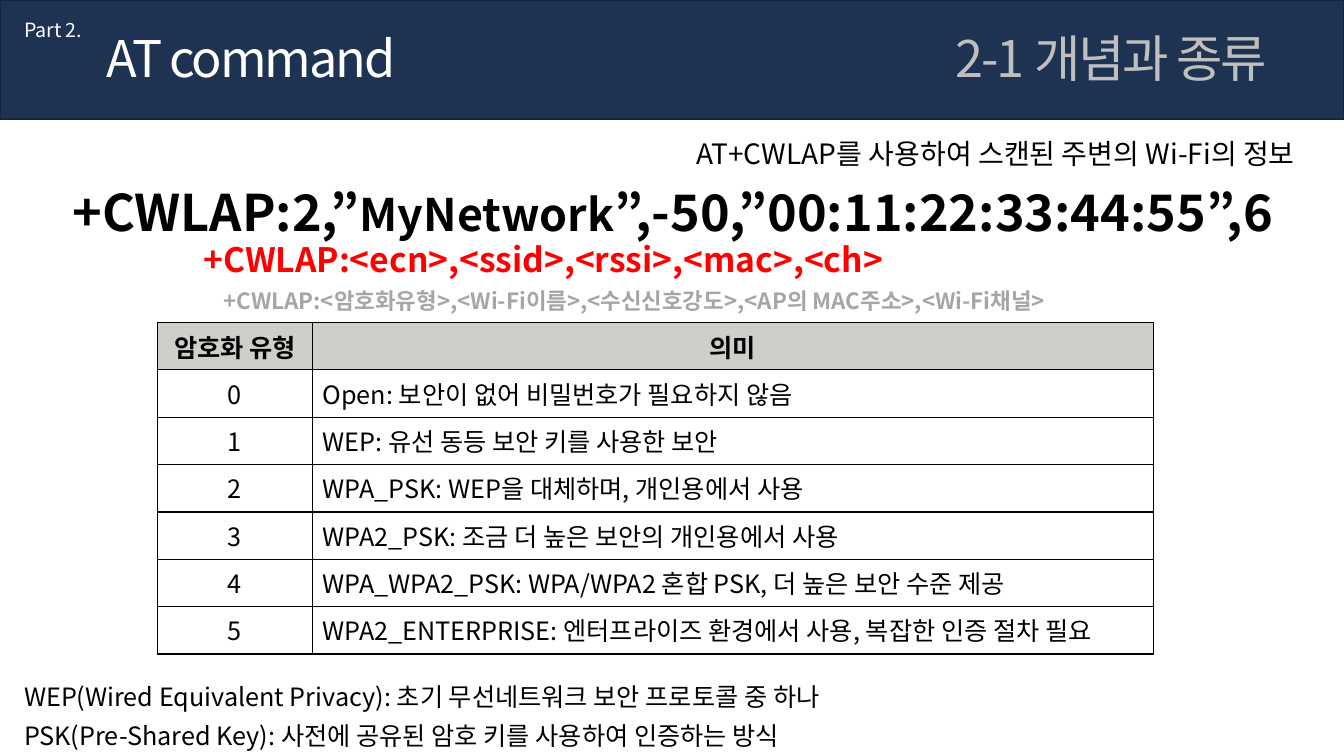
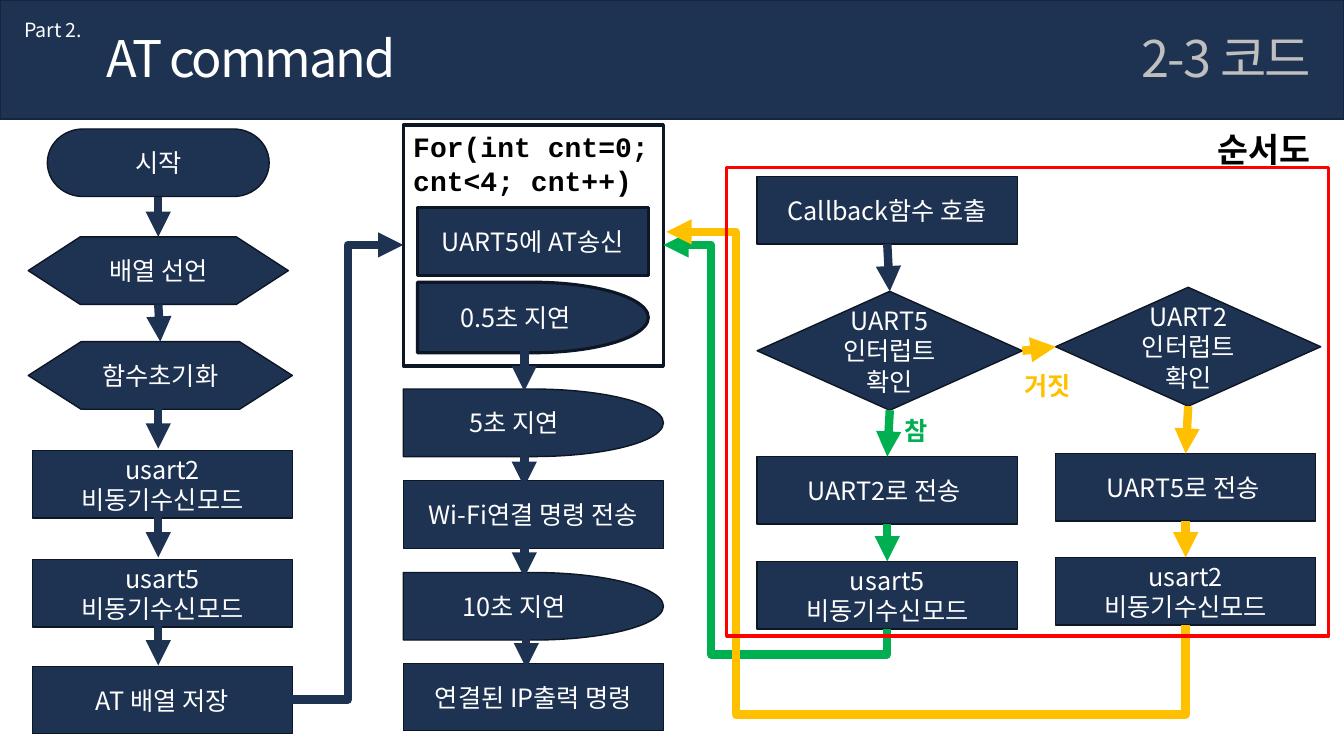
import dataclasses
import lxml.etree
import pptx
import pptx.dml.color
import pptx.enum.shapes
import pptx.enum.text
import pptx.oxml.ns
import pptx.util

SHAPES = pptx.enum.shapes.MSO_SHAPE
CONNECTORS = pptx.enum.shapes.MSO_CONNECTOR
ALIGN = pptx.enum.text.PP_ALIGN
ANCHOR = pptx.enum.text.MSO_ANCHOR
FIT = pptx.enum.text.MSO_AUTO_SIZE
IN = pptx.util.Inches
QN = pptx.oxml.ns.qn


@dataclasses.dataclass(frozen=True)
class Theme:
    width: float = 13.33
    height: float = 7.5
    band: float = 1.18
    navy: str = "1E3252"
    band_edge: str = "16253D"
    box_edge: str = "0D1624"
    white: str = "FFFFFF"
    black: str = "000000"
    silver: str = "BFBFBF"
    gray: str = "A6A6A6"
    header: str = "CECFCB"
    red: str = "FF0000"
    green: str = "00B050"
    amber: str = "FFC000"
    sans: str = "Noto Sans CJK KR"
    code: str = "Courier New"
    title: int = 36
    network: int = 32
    heading: int = 24
    lead: int = 20
    body: int = 18
    note: int = 16
    chapter: int = 14
    arrow: int = 6
    thick: float = 2.25
    thin: int = 1


T = Theme()

CHAPTER, TITLE = "Part 2.", "AT command"
SECTIONS = [
    ("2-1 개념과 종류", 9.38, ALIGN.LEFT),
    ("2-3 코드", 8.39, ALIGN.RIGHT),
]

SCAN_TEXTS = [
    ((0.62, 1.75, 12.24, 0.71),
     [("+CWLAP:2,”", T.title), ("MyNetwork", T.network),
      ("”,-50,”00:11:22:33:44:55”,6", T.title)], T.black, True, ALIGN.LEFT),
    ((1.92, 2.32, 11.4, 0.5),
     [("+CWLAP:<ecn>,<ssid>,<rssi>,<mac>,<ch>", T.heading)], T.red, True, ALIGN.LEFT),
    ((6.24, 1.31, 6.7, 0.44),
     [("AT+CWLAP를 사용하여 스캔된 주변의 Wi-Fi의 정보", T.lead)], T.black, False, ALIGN.RIGHT),
    ((2.12, 2.8, 11.2, 0.37),
     [("+CWLAP:<암호화유형>,<Wi-Fi이름>,<수신신호강도>,<AP의 MAC주소>,<Wi-Fi채널>", T.note)],
     T.gray, True, ALIGN.LEFT),
    ((0.14, 7.1, 13.19, 0.4),
     [("PSK(Pre-Shared Key): 사전에 공유된 암호 키를 사용하여 인증하는 방식", T.body)],
     T.black, False, ALIGN.LEFT),
    ((0.14, 6.71, 13.19, 0.4),
     [("WEP(Wired Equivalent Privacy): 초기 무선네트워크 보안 프로토콜 중 하나", T.body)],
     T.black, False, ALIGN.LEFT),
]

ENCRYPTION_HEAD = ("암호화 유형", "의미")
ENCRYPTION_TYPES = [
    "Open: 보안이 없어 비밀번호가 필요하지 않음",
    "WEP: 유선 동등 보안 키를 사용한 보안",
    "WPA_PSK: WEP을 대체하며, 개인용에서 사용",
    "WPA2_PSK: 조금 더 높은 보안의 개인용에서 사용",
    "WPA_WPA2_PSK: WPA/WPA2 혼합 PSK, 더 높은 보안 수준 제공",
    "WPA2_ENTERPRISE: 엔터프라이즈 환경에서 사용, 복잡한 인증 절차 필요",
]
ENCRYPTION_COLUMNS = (1.54, 8.34)
ENCRYPTION_ROW = 0.47

STEP_W, STEP_H = 2.58, 0.67
DECISION = {"width": 2.63, "height": 1.18}
INNER_W = 2.29
SETUP, LOOP, UART5, UART2 = 0.32, 4, 7.51, 10.47
RECEIVE = "비동기수신모드"

STEPS = {
    "start": (SHAPES.FLOWCHART_TERMINATOR, 0.47, 1.28, ["시작"], {"width": 2.2}),
    "arrays": (SHAPES.FLOWCHART_PREPARATION, 0.28, 2.35, ["배열 선언"], {}),
    "init": (SHAPES.FLOWCHART_PREPARATION, 0.28, 3.39, ["함수초기화"], {"width": 2.62}),
    "usart2": (SHAPES.FLOWCHART_PROCESS, SETUP, 4.47, ["usart2", RECEIVE], {}),
    "usart5": (SHAPES.FLOWCHART_PROCESS, SETUP, 5.55, ["usart5", RECEIVE], {}),
    "store": (SHAPES.FLOWCHART_PROCESS, SETUP, 6.61, ["AT 배열 저장"], {}),
    "send": (SHAPES.FLOWCHART_PROCESS, 4.14, 2.06, ["UART5에 AT송신"],
             {"width": INNER_W, "edge": T.thick}),
    "half": (SHAPES.FLOWCHART_DELAY, 4.14, 2.8, ["0.5초 지연"],
             {"width": INNER_W, "height": 0.7, "edge": T.thick}),
    "five": (SHAPES.FLOWCHART_DELAY, LOOP, 3.86, ["5초 지연"], {}),
    "join": (SHAPES.FLOWCHART_PROCESS, LOOP, 4.77, ["Wi-Fi연결 명령 전송"], {}),
    "ten": (SHAPES.FLOWCHART_DELAY, LOOP, 5.68, ["10초 지연"], {}),
    "address": (SHAPES.FLOWCHART_PROCESS, LOOP, 6.58, ["연결된 IP출력 명령"], {}),
    "callback": (SHAPES.FLOWCHART_PROCESS, UART5, 1.75, ["Callback함수 호출"], {}),
    "check5": (SHAPES.FLOWCHART_DECISION, UART5, 2.89, ["UART5", "인터럽트", "확인"], DECISION),
    "to2": (SHAPES.FLOWCHART_PROCESS, UART5, 4.53, ["UART2로 전송 "], {}),
    "receive5": (SHAPES.FLOWCHART_PROCESS, UART5, 5.57, ["usart5", RECEIVE], {}),
    "check2": (SHAPES.FLOWCHART_DECISION, UART2, 2.85, ["UART2", "인터럽트", "확인"], DECISION),
    "to5": (SHAPES.FLOWCHART_PROCESS, UART2, 4.5, ["UART5로 전송 "], {}),
    "receive2": (SHAPES.FLOWCHART_PROCESS, UART2, 5.53, ["usart2", RECEIVE], {}),
}

TOP, LEFT, BOTTOM, RIGHT = range(4)
JOINED_ARROWS = [
    ("start", BOTTOM, "arrays", TOP, T.navy),
    ("arrays", BOTTOM, "init", TOP, T.navy),
    ("callback", BOTTOM, "check5", TOP, T.navy),
    ("check5", BOTTOM, "to2", TOP, T.green),
    ("check5", RIGHT, "check2", LEFT, T.amber),
    ("to2", BOTTOM, "receive5", TOP, T.green),
    ("check2", BOTTOM, "to5", TOP, T.amber),
    ("to5", BOTTOM, "receive2", TOP, T.amber),
]
DOWN = 0.4
DOWN_ARROWS = [(1.57, 4.05), (1.57, 5.13), (1.57, 6.2),
               (5.2, 3.48), (5.2, 4.43), (5.2, 5.33), (5.22, 6.23)]
RETURNS = [
    ((8.8, 6.24), (6.58, 2.43), 7.05, 6.49, T.green),
    ((11.76, 6.2), (6.61, 2.3), 7.3, 7.09, T.amber),
]
FLOW_LABELS = [
    ("순서도", (11.98, 1.23, 1.35, 0.5), T.heading, T.black),
    ("참", (8.87, 4.07, 0.9, 0.4), T.body, T.green),
    ("거짓", (10.06, 3.62, 0.9, 0.4), T.body, T.amber),
]


def rgb(value):
    return pptx.dml.color.RGBColor.from_string(value)


def add_run(paragraph, text, color, size, bold=False, face=T.sans, tracking=None):
    run = paragraph.add_run()
    run.text = text
    formats = {"name": face, "size": pptx.util.Pt(size), "bold": bold}
    for key, value in formats.items():
        setattr(run.font, key, value)
    run.font.color.rgb = rgb(color)
    props = run._r.get_or_add_rPr()
    lxml.etree.SubElement(props, QN("a:ea"), typeface=face)
    if tracking:
        props.set("spc", str(int(tracking * 100)))


def add_label(slide, frame, runs, color, bold=False, align=ALIGN.LEFT, wrap=True, tracking=None):
    label = slide.shapes.add_textbox(*map(IN, frame)).text_frame
    label.word_wrap = wrap
    label.auto_size = FIT.SHAPE_TO_FIT_TEXT
    label.paragraphs[0].alignment = align
    for text, size in runs:
        add_run(label.paragraphs[0], text, color, size, bold, tracking=tracking)


def add_block(slide, preset, frame, fill, edge, weight):
    block = slide.shapes.add_shape(preset, *map(IN, frame))
    block.shadow.inherit = False
    if fill:
        block.fill.solid()
        block.fill.fore_color.rgb = rgb(fill)
    else:
        block.fill.background()
    block.line.color.rgb = rgb(edge)
    block.line.width = pptx.util.Pt(weight)
    return block


def add_arrow(slide, kind, begin, end, color):
    arrow = slide.shapes.add_connector(kind, *map(IN, begin + end))
    arrow.line.color.rgb = rgb(color)
    arrow.line.width = pptx.util.Pt(T.arrow)
    props = arrow._element.spPr
    lxml.etree.SubElement(props.find(QN("a:ln")), QN("a:tailEnd"), type="triangle")
    lxml.etree.SubElement(props, QN("a:effectLst"))
    return arrow


def add_return(slide, begin, end, rail_x, rail_y, color):
    across, up = begin[0] - end[0], begin[1] - end[1]
    left = (begin[0] + end[0] - up) / 2
    top = (begin[1] + end[1] - across) / 2
    arrow = add_arrow(slide, CONNECTORS.ELBOW, (left + up, top), (left, top + across), color)
    props = arrow._element.spPr
    props.find(QN("a:xfrm")).set("rot", str(90 * 60000))
    outline = props.find(QN("a:prstGeom"))
    outline.set("prst", "bentConnector4")
    guides = outline.find(QN("a:avLst"))
    if guides is None:
        guides = lxml.etree.SubElement(outline, QN("a:avLst"))
    bends = {"adj1": (begin[1] - rail_y) / up, "adj2": (begin[0] - rail_x) / across}
    for name, share in bends.items():
        lxml.etree.SubElement(guides, QN("a:gd"), name=name, fmla=f"val {round(share * 100000)}")


def add_page(deck, section, left, align):
    slide = deck.slides.add_slide(deck.slide_layouts[6])
    add_block(slide, SHAPES.RECTANGLE, (0, 0, T.width, T.band), T.navy, T.band_edge, T.thin)
    add_label(slide, (0.14, 0.13, 0.81, 0.34), [(CHAPTER, T.chapter)], T.white, wrap=False)
    add_label(slide, (0.96, 0.22, 3.56, 0.71), [(TITLE, T.title)], T.white, tracking=-1.5)
    add_label(slide, (left, 0.22, 13.1 - left, 0.71), [(section, T.title)], T.silver,
              align=align, tracking=-1.5)
    return slide


def add_borders(cell):
    props = cell._tc.get_or_add_tcPr()
    for index, side in enumerate(("lnL", "lnR", "lnT", "lnB")):
        border = lxml.etree.Element(QN(f"a:{side}"), w=str(int(pptx.util.Pt(T.thin))))
        fill = lxml.etree.SubElement(border, QN("a:solidFill"))
        lxml.etree.SubElement(fill, QN("a:srgbClr"), val=T.black)
        props.insert(index, border)


def add_encryption(slide):
    rows = [ENCRYPTION_HEAD] + [(str(i), text) for i, text in enumerate(ENCRYPTION_TYPES)]
    frame = (1.56, 3.2, sum(ENCRYPTION_COLUMNS), ENCRYPTION_ROW * len(rows))
    grid = slide.shapes.add_table(len(rows), len(ENCRYPTION_COLUMNS), *map(IN, frame)).table
    grid.first_row = grid.horz_banding = False
    for column, width in zip(grid.columns, ENCRYPTION_COLUMNS):
        column.width = IN(width)
    for r, row in enumerate(rows):
        grid.rows[r].height = IN(ENCRYPTION_ROW)
        for c, text in enumerate(row):
            cell, head = grid.cell(r, c), r == 0
            if head:
                cell.fill.solid()
                cell.fill.fore_color.rgb = rgb(T.header)
                cell.vertical_anchor = ANCHOR.MIDDLE
            else:
                cell.fill.background()
            paragraph = cell.text_frame.paragraphs[0]
            paragraph.alignment = ALIGN.CENTER if head or c == 0 else ALIGN.LEFT
            add_run(paragraph, text, T.black, T.body, head)
            add_borders(cell)


def add_step(slide, preset, left, top, lines, options):
    frame = (left, top, options.get("width", STEP_W), options.get("height", STEP_H))
    step = add_block(slide, preset, frame, T.navy, T.box_edge, options.get("edge", T.thin))
    step.text_frame.word_wrap = True
    step.text_frame.vertical_anchor = ANCHOR.MIDDLE
    for i, line in enumerate(lines):
        paragraph = step.text_frame.add_paragraph() if i else step.text_frame.paragraphs[0]
        paragraph.alignment = ALIGN.CENTER
        add_run(paragraph, line, T.white, T.body)
    return step


def add_flowchart(slide):
    loop = add_block(slide, SHAPES.FLOWCHART_PROCESS, (LOOP, 1.24, STEP_W, 2.39),
                     T.white, T.box_edge, T.thick)
    loop.text_frame.word_wrap = True
    loop.text_frame.vertical_anchor = ANCHOR.TOP
    loop.text_frame.paragraphs[0].alignment = ALIGN.LEFT
    add_run(loop.text_frame.paragraphs[0], "For(int cnt=0; cnt<4; cnt++)",
            T.black, T.lead, True, T.code)
    steps = {key: add_step(slide, *step) for key, step in STEPS.items()}
    for source, out, target, into, color in JOINED_ARROWS:
        arrow = add_arrow(slide, CONNECTORS.STRAIGHT, (0, 0), (1, 1), color)
        arrow.begin_connect(steps[source], out)
        arrow.end_connect(steps[target], into)
    for x, y in DOWN_ARROWS:
        add_arrow(slide, CONNECTORS.STRAIGHT, (x, y), (x, y + DOWN), T.navy)
    add_arrow(slide, CONNECTORS.ELBOW, (SETUP + STEP_W, 6.94), (LOOP, 2.43), T.navy)
    for route in RETURNS:
        add_return(slide, *route)
    for text, frame, size, color in FLOW_LABELS:
        add_label(slide, frame, [(text, size)], color, True)
    add_block(slide, SHAPES.RECTANGLE, (7.21, 1.66, 5.97, 4.65), None, T.red, T.thick)


def main():
    deck = pptx.Presentation()
    deck.slide_width, deck.slide_height = IN(T.width), IN(T.height)
    scan, flow = [add_page(deck, *section) for section in SECTIONS]
    for label in SCAN_TEXTS:
        add_label(scan, *label)
    add_encryption(scan)
    add_flowchart(flow)
    deck.save("out.pptx")


if __name__ == "__main__":
    main()
